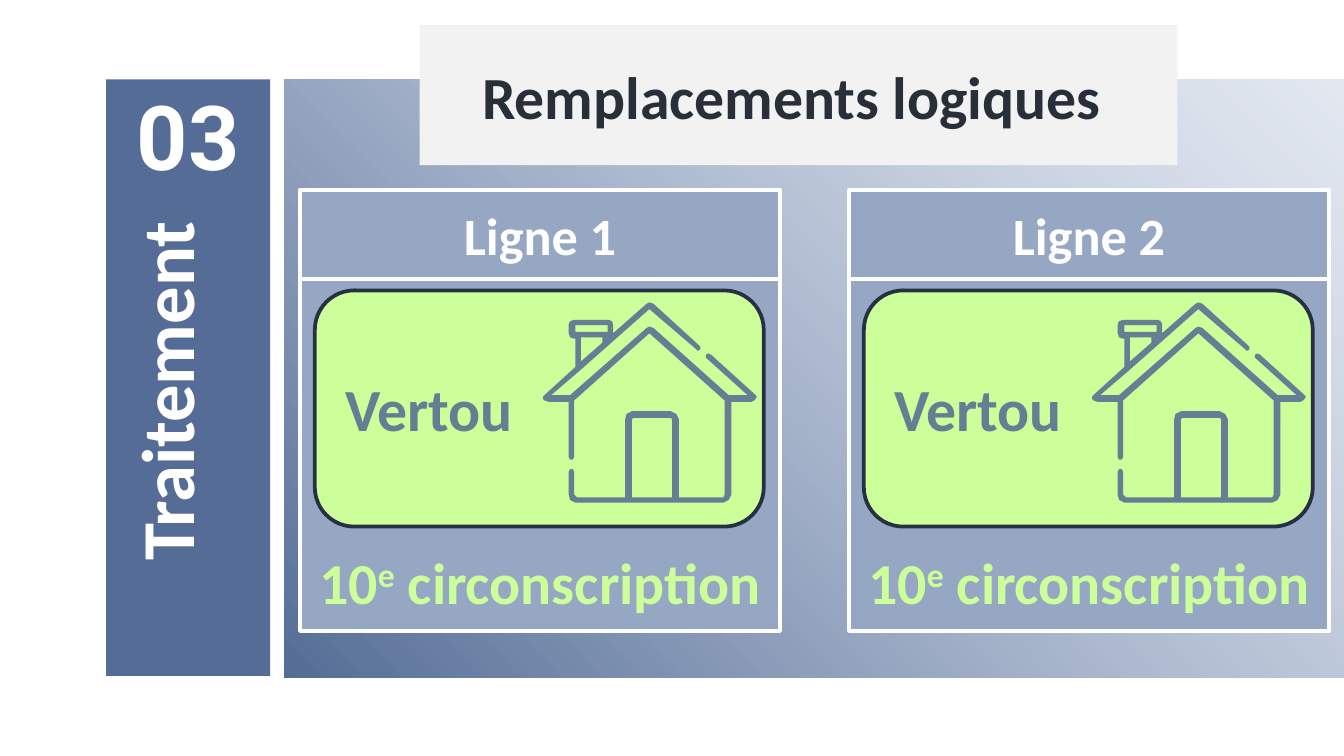
from lxml import etree
from pptx import Presentation
from pptx.dml.color import RGBColor
from pptx.enum.shapes import MSO_SHAPE
from pptx.enum.text import MSO_ANCHOR, PP_ALIGN
from pptx.oxml.ns import qn
from pptx.util import Pt

RECTANGLE, ROUNDED = MSO_SHAPE.RECTANGLE, MSO_SHAPE.ROUNDED_RECTANGLE
LEFT, CENTER = PP_ALIGN.LEFT, PP_ALIGN.CENTER
TOP, MIDDLE = MSO_ANCHOR.TOP, MSO_ANCHOR.MIDDLE
NAVY, WHITE, STEEL, LIME = "556D96", "FFFFFF", "657E93", "CCFF99"
color = RGBColor.from_string

# House icon contours, in hundredths of an inch
HOUSE_OUTLINE = [
    (79, 0), (77, 1), (52, 23), (52, 16), (51, 14), (49, 13), (23, 13), (20, 14),
    (19, 16), (19, 23), (20, 26), (23, 27), (24, 27), (24, 48), (2, 68), (0, 70),
    (0, 72), (1, 73), (4, 74), (19, 74), (19, 115), (20, 117), (22, 117), (23, 115),
    (23, 73), (79, 23), (135, 73), (135, 143), (134, 145), (101, 145), (101, 87),
    (99, 83), (95, 81), (66, 81), (62, 83), (61, 87), (61, 145), (25, 145), (23, 143),
    (23, 126), (22, 124), (20, 124), (19, 126), (19, 143), (20, 147), (24, 149),
    (134, 149), (138, 147), (140, 143), (140, 74), (155, 74), (157, 73), (158, 72),
    (159, 70), (157, 68), (125, 39), (123, 38), (121, 39), (121, 41), (122, 42),
    (152, 69), (138, 69), (82, 19), (79, 18), (77, 19), (20, 69), (6, 69), (27, 51),
    (79, 5), (114, 35), (115, 36), (117, 35), (117, 33), (116, 32), (82, 1),
]
HOUSE_HOLES = [
    [(48, 17), (48, 22), (24, 22), (24, 17)],
    [(44, 26), (44, 30), (28, 44), (28, 26)],
    [(95, 86), (96, 87), (96, 145), (66, 145), (66, 87), (67, 86)],
]

presentation = Presentation()
presentation.slide_width, presentation.slide_height = Pt(720), Pt(405)
slide = presentation.slides.add_slide(presentation.slide_layouts[6])


def add_box(kind, left, top, width, height, fill=None, line=None, weight=2.25):
    shape = slide.shapes.add_shape(kind, Pt(left), Pt(top), Pt(width), Pt(height))
    shape.shadow.inherit = False
    if fill:
        shape.fill.solid()
        shape.fill.fore_color.rgb = color(fill)
    else:
        shape.fill.background()
    if line:
        shape.line.color.rgb = color(line)
        shape.line.width = Pt(weight)
    else:
        shape.line.fill.background()
    return shape


def add_text(text, left, top, width, height, size, fill, font="Calibri",
             align=CENTER, anchor=MIDDLE, inset=7.2):
    box = slide.shapes.add_textbox(Pt(left), Pt(top), Pt(width), Pt(height))
    frame = box.text_frame
    frame.word_wrap = True
    frame.vertical_anchor = anchor
    frame.margin_top = frame.margin_bottom = Pt(inset)
    paragraph = frame.paragraphs[0]
    paragraph.alignment = align
    paragraph.font.name, paragraph.font.size = font, Pt(size)
    paragraph.font.bold = True
    paragraph.font.color.rgb = color(fill)
    paragraph.add_run().text = text
    return box


# Gradient background, dark at bottom left and translucent at top right
background = add_box(RECTANGLE, 152.6, 42.5, 578, 320.4)
background.fill.gradient()
background.fill.gradient_angle = 45
dark_stop, light_stop = background.fill.gradient_stops
dark_stop.color.rgb, light_stop.color.rgb = color(NAVY), color("A9B9D3")
light_color = background.element.findall(".//" + qn("a:srgbClr"))[1]
etree.SubElement(light_color, qn("a:alpha")).set("val", "31000")

# Side banner with section number and name
add_box(RECTANGLE, 56.9, 42.5, 87.8, 319.7, NAVY)
add_text("03", 56.9, 42.5, 87.8, 59, 48, WHITE, font="Roboto")
section = add_text("Traitement", -7.2, 165.6, 216, 87.8, 40, WHITE, anchor=TOP)
section.rotation = 270

# Title
add_box(RECTANGLE, 224.8, 13.5, 406, 75, "F2F2F2")
add_text("Remplacements logiques", 224.8, 13.5, 398.8, 75, 32, "282F39")

# One panel per line
for index in range(2):
    left = 160.8 + 294.1 * index
    add_box(RECTANGLE, left, 101.7, 257, 236.3, "96A7C3", WHITE)
    add_text(f"Ligne {index + 1}", left, 101.7, 257, 47.5, 28, WHITE)
    add_box(RECTANGLE, left, 149.5, 257, 188.5, line=WHITE)
    add_box(ROUNDED, left + 7.9, 155.6, 240.5, 126.5, LIME, "253042", 2)

    # House icon
    builder = slide.shapes.build_freeform(*HOUSE_OUTLINE[0], scale=Pt(0.72))
    builder.add_line_segments(HOUSE_OUTLINE[1:], close=True)
    for hole in HOUSE_HOLES:
        builder.move_to(*hole[0])
        builder.add_line_segments(hole[1:], close=True)
    house = builder.convert_to_shape(Pt(left + 130.2), Pt(162))
    house.shadow.inherit = False
    house.fill.solid()
    house.fill.fore_color.rgb = color(STEEL)
    house.line.fill.background()

    # Town and constituency
    add_text("Vertou", left + 17, 195.8, 125.3, 46, 32, STEEL,
             align=LEFT, anchor=TOP, inset=3.6)
    constituency = add_text("10", left, 289.4, 257, 44.6, 31, LIME,
                            anchor=TOP, inset=3.6)
    paragraph = constituency.text_frame.paragraphs[0]
    superscript = paragraph.add_run()
    superscript.text = "e"
    superscript._r.get_or_add_rPr().set("baseline", "30000")
    paragraph.add_run().text = " circonscription"

presentation.save("out.pptx")
